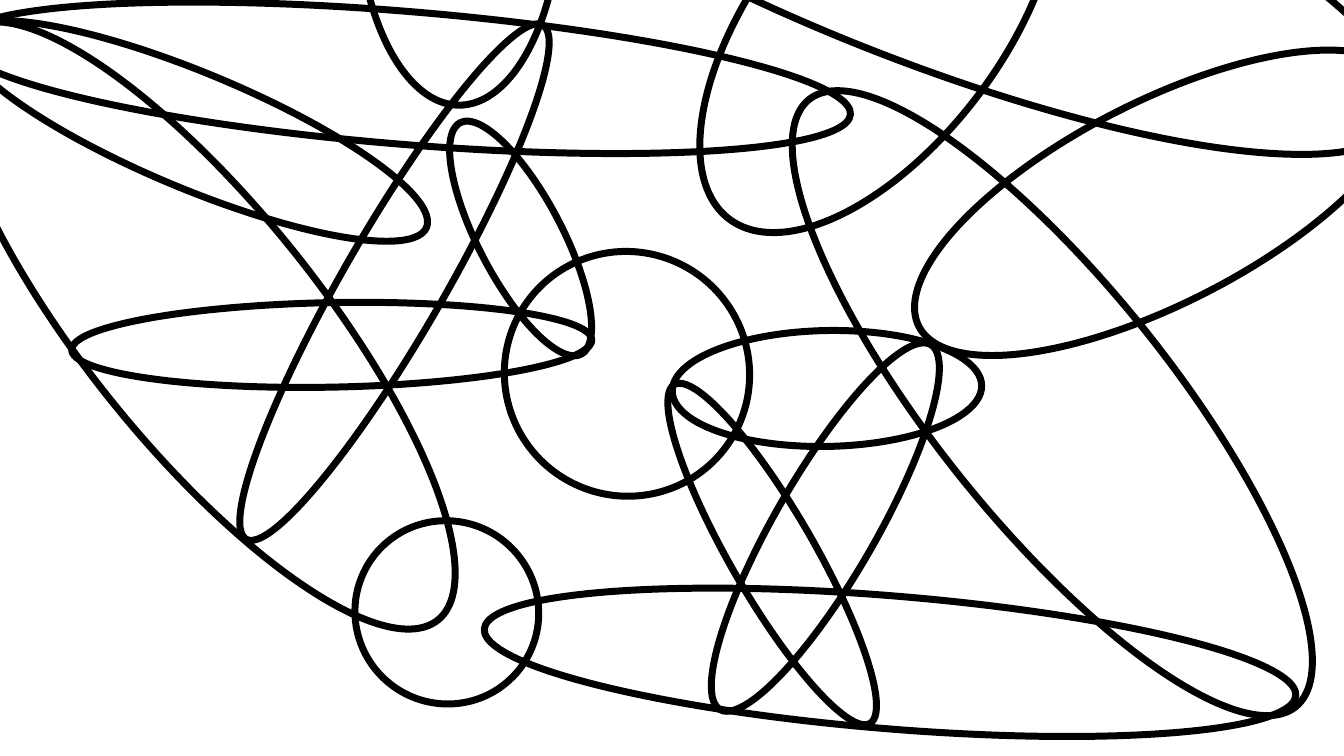
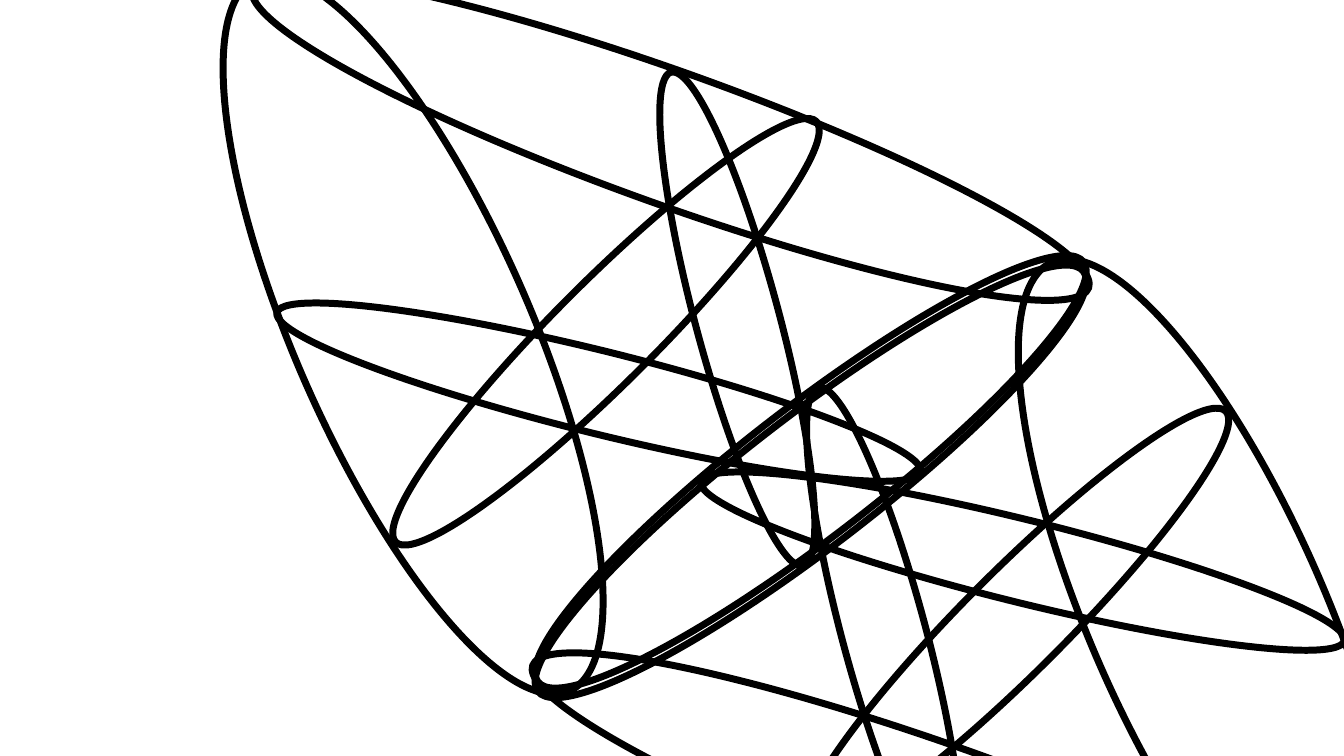
from dataclasses import dataclass
from typing import NamedTuple

from pptx import Presentation
from pptx.dml.color import RGBColor
from pptx.enum.shapes import MSO_SHAPE
from pptx.util import Cm, Pt

OVAL = MSO_SHAPE.OVAL


@dataclass(frozen=True)
class Theme:
    width: float = 33.87
    height: float = 19.05
    background: RGBColor = RGBColor(0xFF, 0xFF, 0xFF)
    ink: RGBColor = RGBColor(0x00, 0x00, 0x00)
    stroke: float = 5


THEME = Theme()


class Petal(NamedTuple):
    """An ellipse by its centre and size in cm, and its turn in degrees."""
    x: float
    y: float
    width: float
    height: float
    turn: float


# Slide 1: two bundles of petals and the loose rings around them
RIGHT_BUNDLE = [
    Petal(19.46, 13.96, 9.86, 2.11, 240),
    Petal(20.80, 13.28, 10.62, 2.54, 300),
    Petal(20.84, 9.79, 7.80, 2.92, 358.9),
    Petal(22.43, 16.69, 20.52, 3.35, 4.7),
    Petal(26.52, 10.16, 19.61, 5.94, 51.3),
]
LEFT_BUNDLE = [
    Petal(13.12, 6.01, 6.58, 2.11, 62.4),
    Petal(9.94, 7.11, 14.96, 2.54, 120),
    Petal(8.36, 8.69, 13.11, 2.13, 178.9),
    Petal(10.19, 1.96, 22.56, 3.35, 184.7),
    Petal(5.09, 8.20, 19.02, 5.94, 231.3),
]
LOOSE_RINGS = [
    Petal(15.80, 9.42, 6.15, 6.20, 127.4),
    Petal(22.14, 0.58, 12.42, 6.20, 127.4),
    Petal(11.57, -2.67, 10.64, 5.18, 90),
    Petal(29.24, 5.11, 13.67, 5.08, 152.9),
    Petal(22.81, -2.07, 6.81, 27.10, 111.9),
    Petal(11.26, 15.43, 4.60, 4.65, 127.4),
    Petal(4.91, 3.30, 2.92, 12.65, 112.6),
]

# Slide 2: one bundle, repeated by a half turn about the pivot
UPPER_BUNDLE = [
    Petal(18.58, 8.04, 12.88, 2.11, 75),
    Petal(15.27, 8.36, 14.99, 2.54, 135),
    Petal(15.09, 9.88, 16.71, 2.08, 193.9),
    Petal(16.90, 3.48, 22.38, 3.35, 199.7),
    Petal(20.43, 12.13, 17.35, 3.28, 142.4),
    Petal(10.41, 8.43, 19.61, 5.94, 246.3),
]
PIVOT = (20.43, 12.01)


def half_turn(bundle, pivot):
    """Return the bundle turned by 180 degrees about the pivot."""
    pivot_x, pivot_y = pivot
    return [
        petal._replace(x=2 * pivot_x - petal.x, y=2 * pivot_y - petal.y,
                       turn=(petal.turn + 180) % 360)
        for petal in bundle
    ]


def add_slide(deck):
    slide = deck.slides.add_slide(deck.slide_layouts[6])
    backdrop = slide.background.fill
    backdrop.solid()
    backdrop.fore_color.rgb = THEME.background
    return slide


def add_petals(shapes, petals):
    """Draw each petal as an unfilled outline."""
    for petal in petals:
        outline = shapes.add_shape(
            OVAL,
            Cm(petal.x - petal.width / 2), Cm(petal.y - petal.height / 2),
            Cm(petal.width), Cm(petal.height))
        outline.rotation = petal.turn
        outline.shadow.inherit = False
        outline.fill.background()
        outline.line.color.rgb = THEME.ink
        outline.line.width = Pt(THEME.stroke)


def add_bundle(slide, petals):
    """Draw the petals as one group."""
    add_petals(slide.shapes.add_group_shape().shapes, petals)


def main():
    deck = Presentation()
    deck.slide_width = Cm(THEME.width)
    deck.slide_height = Cm(THEME.height)

    # Bundles with loose rings
    rings = add_slide(deck)
    add_bundle(rings, RIGHT_BUNDLE)
    add_bundle(rings, LEFT_BUNDLE)
    add_petals(rings.shapes, LOOSE_RINGS)

    # Bundle and its half turn
    rotation = add_slide(deck)
    add_bundle(rotation, UPPER_BUNDLE)
    add_bundle(rotation, half_turn(UPPER_BUNDLE, PIVOT))

    deck.save("out.pptx")


if __name__ == "__main__":
    main()
